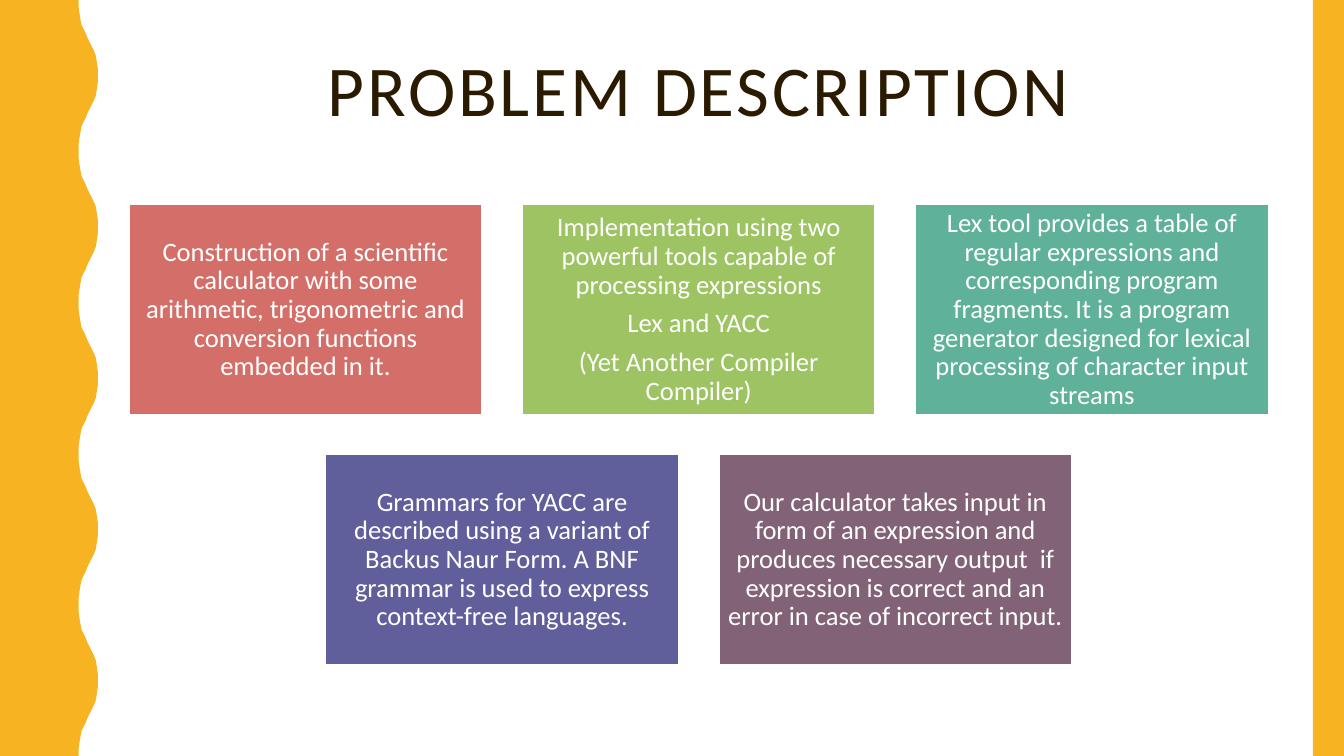
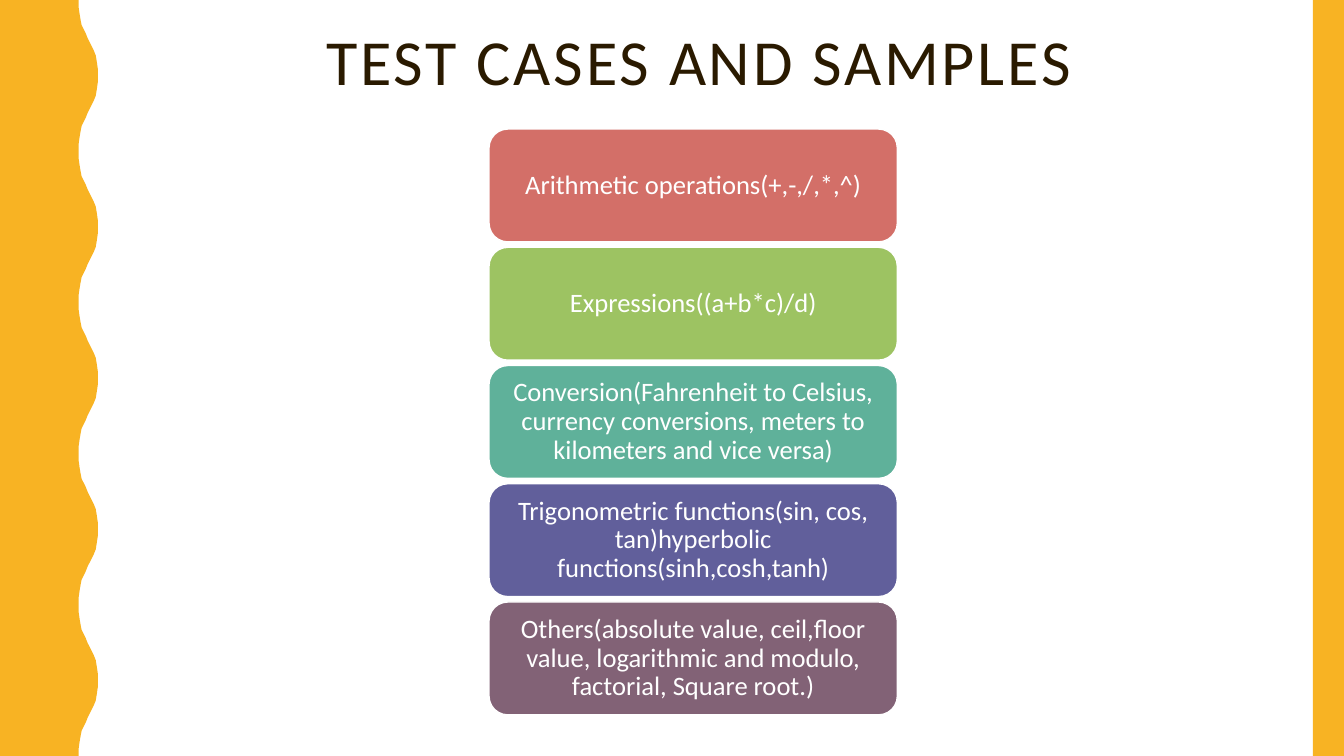
"""Build two slides on a Lex and YACC scientific calculator."""
import pptx
import pptx.dml.color
import pptx.enum.shapes
import pptx.enum.text
import pptx.oxml.ns
import pptx.util

Inches = pptx.util.Inches
Pt = pptx.util.Pt
SHAPES = pptx.enum.shapes.MSO_SHAPE

WIDTH, HEIGHT = 13.33, 7.5
FONT = "Calibri"
INK, WHITE, BAND = "2A1A00", "FFFFFF", "F8B323"
PALETTE = ["D36F68", "9DC362", "5FB19A", "615F9B", "826276"]

WAVE_PERIOD = 1.5
HALF_WAVE = [
    (0.78, 0), (0.78, 0.07), (0.79, 0.14), (0.8, 0.2), (0.81, 0.25),
    (0.83, 0.29), (0.85, 0.33), (0.87, 0.38), (0.89, 0.42), (0.91, 0.46),
    (0.93, 0.5), (0.95, 0.55), (0.96, 0.61), (0.97, 0.68), (0.97, 0.75),
]

PROBLEM_ROWS = [
    [
        ["Construction of a scientific calculator with some arithmetic, "
         "trigonometric and conversion functions embedded in it."],
        ["Implementation using two powerful tools capable of processing expressions",
         "Lex and YACC",
         "(Yet Another Compiler Compiler)"],
        ["Lex tool provides a table of regular expressions and corresponding "
         "program fragments. It is a program generator designed for lexical "
         "processing of character input streams"],
    ],
    [
        ["Grammars for YACC are described using a variant of Backus Naur Form. "
         "A BNF grammar is used to express context-free languages."],
        ["Our calculator takes input in form of an expression and produces "
         "necessary output  if expression is correct and an error in case of "
         "incorrect input."],
    ],
]
TEST_CASES = [
    "Arithmetic operations(+,-,/,*,^)",
    "Expressions((a+b*c)/d)",
    "Conversion(Fahrenheit to Celsius, currency conversions, meters to "
    "kilometers and vice versa)",
    "Trigonometric functions(sin, cos, tan)hyperbolic functions(sinh,cosh,tanh)",
    "Others(absolute value, ceil,floor value, logarithmic and modulo, "
    "factorial, Square root.)",
]


def color(value):
    return pptx.dml.color.RGBColor.from_string(value)


def paint(shape, fill, line_width=0):
    shape.shadow.inherit = False
    shape.fill.solid()
    shape.fill.fore_color.rgb = color(fill)
    if line_width:
        shape.line.color.rgb = color(WHITE)
        shape.line.width = Pt(line_width)
    else:
        shape.line.fill.background()


def write(shape, texts, size, ink, space_after=0):
    frame = shape.text_frame
    frame.word_wrap = True
    frame.auto_size = pptx.enum.text.MSO_AUTO_SIZE.NONE
    frame.vertical_anchor = pptx.enum.text.MSO_ANCHOR.MIDDLE
    frame.text = "\n".join(texts)
    for para in frame.paragraphs:
        para.alignment = pptx.enum.text.PP_ALIGN.CENTER
        para.line_spacing = 0.9
        para.space_before = Pt(0)
        para.space_after = Pt(space_after)
        para.font.name = FONT
        para.font.size = Pt(size)
        para.font.color.rgb = color(ink)


def add_bands(layout, slide):
    """Draw the side bands and move them to the shared layout."""
    period = HALF_WAVE + [(x, WAVE_PERIOD - y) for x, y in HALF_WAVE[-2::-1]]
    edge = [(x, y + turn * WAVE_PERIOD)
            for turn in range(round(HEIGHT / WAVE_PERIOD)) for x, y in period]
    outline = slide.shapes.build_freeform(0, 0)
    outline.add_line_segments(
        [(Inches(x), Inches(y)) for x, y in edge + [(0, HEIGHT)]])
    wave = outline.convert_to_shape()
    stripe = slide.shapes.add_shape(
        SHAPES.RECTANGLE, Inches(13.02), 0, Inches(WIDTH - 13.02), Inches(HEIGHT))
    for band in (stripe, wave):
        paint(band, BAND)
        layout.shapes.element.insert(2, band.element)


def add_titled_slide(deck, layout, text, top, height, size):
    slide = deck.slides.add_slide(layout)
    title = slide.shapes.title
    title.left, title.top = Inches(1.37), Inches(top)
    title.width, title.height = Inches(11.13), Inches(height)
    write(title, [text], size, INK)
    for properties in title.element.iter(pptx.oxml.ns.qn("a:defRPr")):
        properties.set("spc", "200")
    return slide


def add_box(slide, preset, place, fill, line_width, texts, inset):
    box = slide.shapes.add_shape(preset, *map(Inches, place))
    paint(box, fill, line_width)
    frame = box.text_frame
    frame.margin_left = frame.margin_right = Inches(0.08)
    frame.margin_top = frame.margin_bottom = Inches(inset)
    write(box, texts, 19, WHITE, space_after=7)


def add_problem_grid(slide):
    width, height, step_x, step_y, center = 3.54, 2.13, 3.9, 2.48, 6.93
    fills = iter(PALETTE)
    for row, cells in enumerate(PROBLEM_ROWS):
        left = center - (width + (len(cells) - 1) * step_x) / 2
        for column, texts in enumerate(cells):
            place = (left + column * step_x, 2.01 + row * step_y, width, height)
            add_box(slide, SHAPES.RECTANGLE, place, next(fills), 4, texts, 0.08)


def add_test_list(slide):
    for row, (text, fill) in enumerate(zip(TEST_CASES, PALETTE)):
        place = (4.85, 1.28 + row * 1.173, 4.05, 1.12)
        add_box(slide, SHAPES.ROUNDED_RECTANGLE, place, fill, 1, [text], 0.04)


def main():
    deck = pptx.Presentation()
    deck.slide_width, deck.slide_height = Inches(WIDTH), Inches(HEIGHT)
    layout = deck.slide_layouts.get_by_name("Title Only")
    problem = add_titled_slide(deck, layout, "PROBLEM DESCRIPTION", 0.42, 1.02, 51)
    add_bands(layout, problem)
    add_problem_grid(problem)
    tests = add_titled_slide(deck, layout, "TEST CASES AND SAMPLES", 0.21, 0.86, 45.9)
    add_test_list(tests)
    deck.save("out.pptx")


if __name__ == "__main__":
    main()
